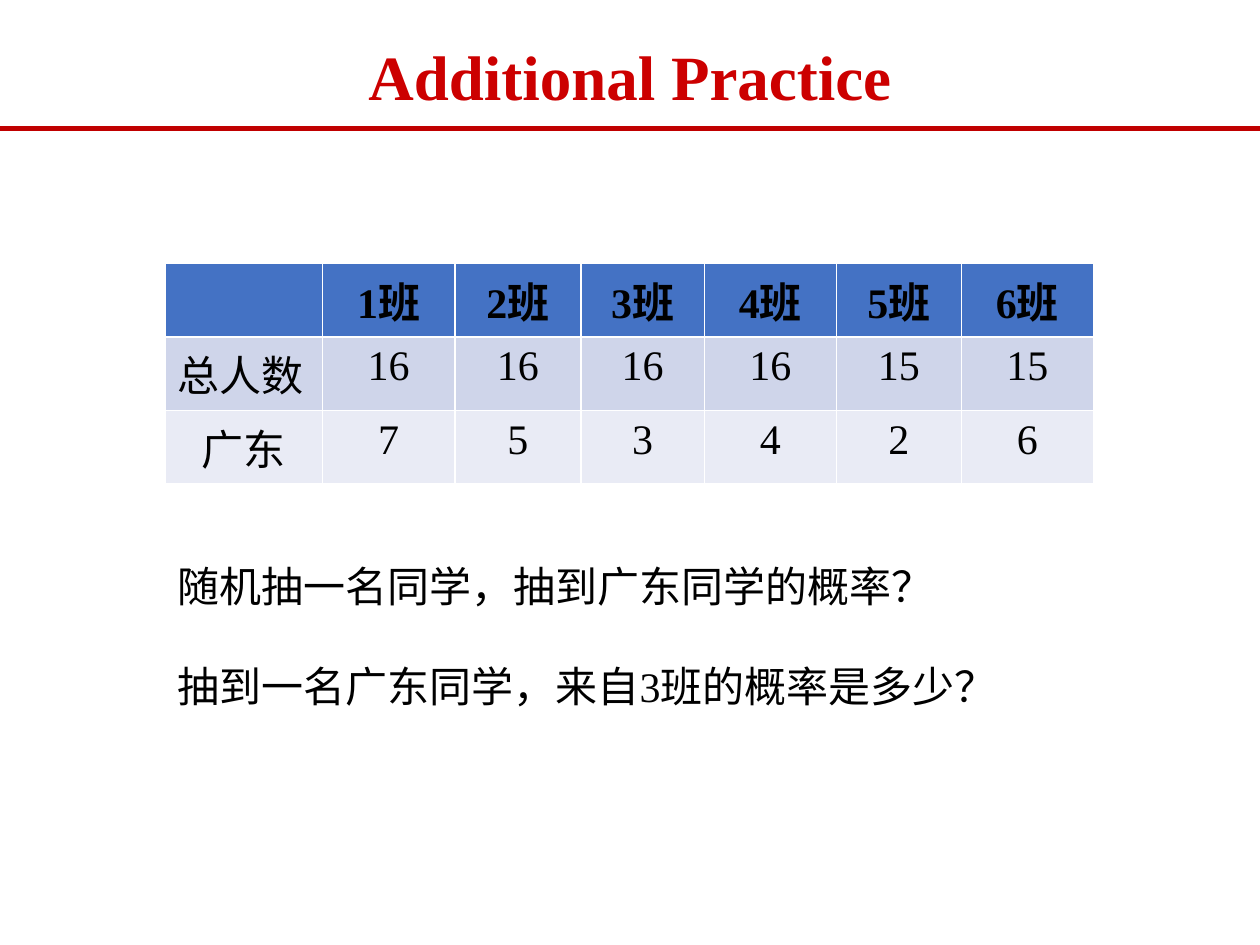
from lxml.etree import SubElement
from pptx import Presentation
from pptx.dml.color import RGBColor
from pptx.enum.shapes import MSO_CONNECTOR
from pptx.enum.text import MSO_ANCHOR, MSO_AUTO_SIZE, PP_ALIGN
from pptx.oxml.ns import qn
from pptx.util import Inches, Pt

COLORS = {
    "title": "CC0000",
    "rule": "C00000",
    "text": "000000",
    "header": "4472C4",
    "odd": "CFD5EA",
    "even": "E9EBF5",
}
FONT = "Times New Roman"
COLUMN_WIDTHS = [1.25, 1.05, 1, 0.98, 1.05, 0.99, 1.05]
ROW_HEIGHT = 0.5
ROWS = [
    [""] + [f"{number}班" for number in range(1, 7)],
    ["总人数", "16", "16", "16", "16", "15", "15"],
    ["广东", "7", "5", "3", "4", "2", "6"],
]
QUESTIONS = [
    "随机抽一名同学，抽到广东同学的概率？",
    "抽到一名广东同学，来自3班的概率是多少？",
]


def color(name):
    return RGBColor.from_string(COLORS[name])


def style(para, size, color_name, bold, align):
    para.alignment = align
    font = para.font
    font.name = FONT
    font.size = Pt(size)
    font.bold = bold
    font.color.rgb = color(color_name)


def place(shape, box):
    shape.left, shape.top, shape.width, shape.height = map(Inches, box)
    frame = shape.text_frame
    frame.word_wrap = False
    frame.auto_size = MSO_AUTO_SIZE.NONE
    return frame


def add_heading(page, box, page_width):
    frame = place(page.shapes.title, box)
    frame.vertical_anchor = MSO_ANCHOR.MIDDLE
    frame.text = "Additional Practice"
    style(frame.paragraphs[0], 36, "title", True, PP_ALIGN.CENTER)
    height = Inches(1.02)
    rule = page.shapes.add_connector(MSO_CONNECTOR.STRAIGHT, 0, height, page_width, height)
    rule.line.color.rgb = color("rule")
    rule.line.width = Pt(3)
    SubElement(rule._element.spPr, qn("a:effectLst"))


def add_class_table(page, left, top):
    width, height = sum(COLUMN_WIDTHS), ROW_HEIGHT * len(ROWS)
    table = page.shapes.add_table(
        len(ROWS), len(COLUMN_WIDTHS), *map(Inches, (left, top, width, height))
    ).table
    for column, column_width in zip(table.columns, COLUMN_WIDTHS):
        column.width = Inches(column_width)
    for row, values, fill in zip(table.rows, ROWS, ("header", "odd", "even")):
        row.height = Inches(ROW_HEIGHT)
        for cell, value in zip(row.cells, values):
            cell.fill.solid()
            cell.fill.fore_color.rgb = color(fill)
            cell.text = value
            align = PP_ALIGN.LEFT if value == "总人数" else PP_ALIGN.CENTER
            style(cell.text_frame.paragraphs[0], 24, "text", fill == "header", align)


def add_questions(page, box):
    frame = place(page.placeholders[1], box)
    frame.text = "\n".join(QUESTIONS)
    for index, para in enumerate(frame.paragraphs):
        para.space_before = Pt(28 * index)
        properties = para._p.get_or_add_pPr()
        properties.set("marL", "0")
        properties.set("indent", "0")
        SubElement(properties, qn("a:buNone"))
        style(para, 24, "text", False, PP_ALIGN.LEFT)


def main():
    deck = Presentation()
    deck.slide_width, deck.slide_height = Inches(10), Inches(7.5)
    page = deck.slides.add_slide(deck.slide_layouts[1])
    add_heading(page, (2.8, 0.24, 4.4, 0.71), deck.slide_width)
    add_class_table(page, 1.31, 2.09)
    add_questions(page, (1.31, 4.4, 6.77, 1.31))
    deck.save("out.pptx")


if __name__ == "__main__":
    main()
